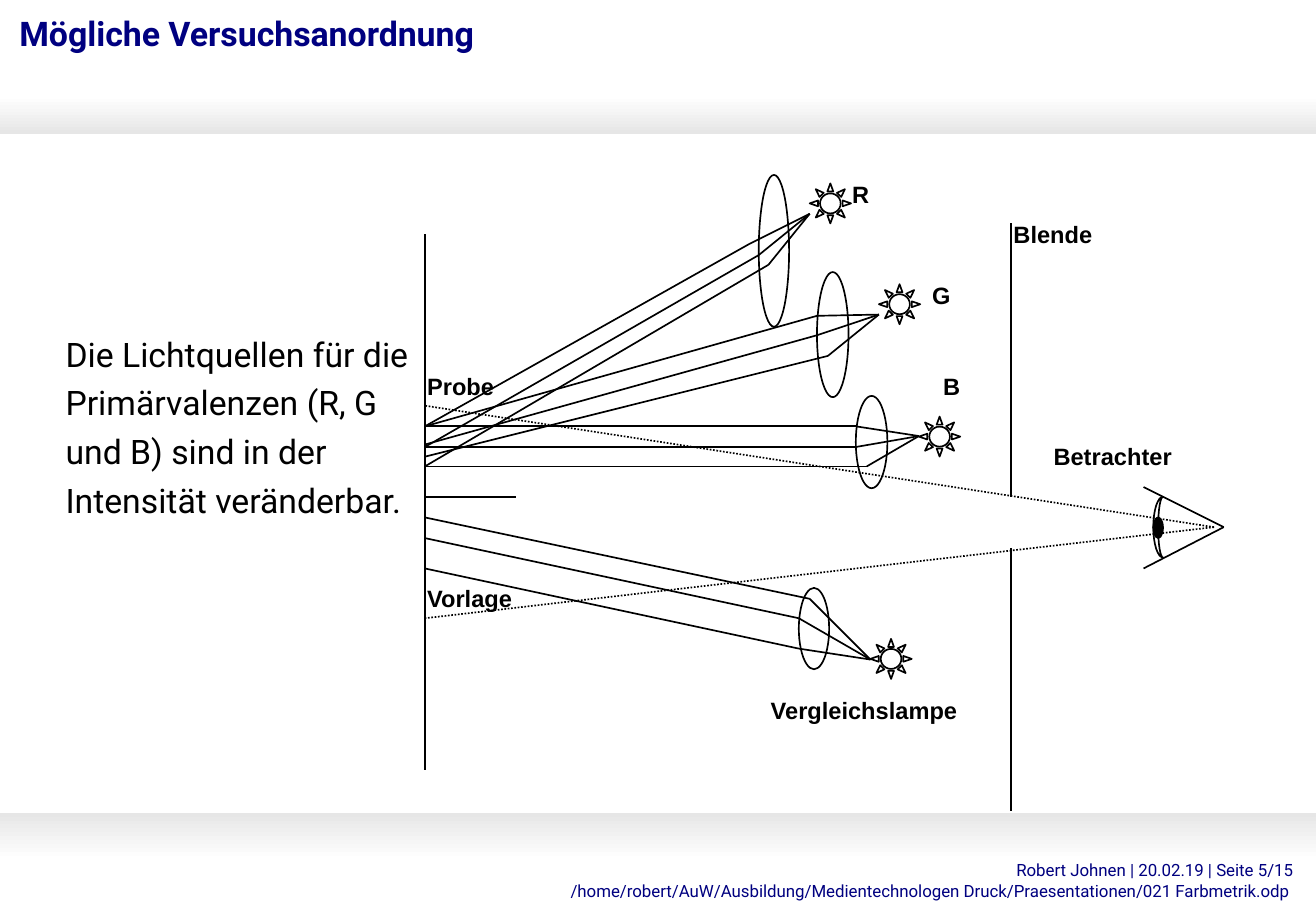
"""Build the slide showing an experimental setup for additive colour matching."""
import math

from lxml import etree
from pptx import Presentation, util as u
from pptx.dml.color import RGBColor
from pptx.enum import dml, shapes, text
from pptx.oxml.ns import qn

THEME = {
    "ink": RGBColor(0, 0, 0),
    "navy": RGBColor(0, 0, 0x80),
    "band": RGBColor(0xE6, 0xE6, 0xE6),
    "paper": RGBColor(0xFF, 0xFF, 0xFF),
    "stroke": u.Pt(1),
    "title": {"name": "Roboto", "size": u.Pt(20.1), "bold": True},
    "body": {"name": "Roboto", "size": u.Pt(20)},
    "footer": {"name": "Roboto", "size": u.Pt(10)},
    "label": {"name": "Arial", "size": u.Pt(14), "bold": True},
}


def add_text(area, lines, style, color, inset=(0, 0), **layout):
    """Place a text box whose paragraphs share one style."""
    box = page.shapes.add_textbox(*map(u.Inches, area))
    frame = box.text_frame
    margin_x, margin_y = map(u.Inches, inset)
    frame_format = {
        "word_wrap": True, "vertical_anchor": text.MSO_ANCHOR.TOP,
        "margin_left": margin_x, "margin_right": margin_x,
        "margin_top": margin_y, "margin_bottom": margin_y,
    }
    for name, value in frame_format.items():
        setattr(frame, name, value)
    for index, line in enumerate(lines):
        para = frame.add_paragraph() if index else frame.paragraphs[0]
        for name, value in layout.items():
            setattr(para, name, value)
        span = para.add_run()
        span.text = line
        for name, value in THEME[style].items():
            setattr(span.font, name, value)
        span.font.color.rgb = THEME[color]
    return box


def add_line(parent, start, end, width=THEME["stroke"]):
    """Draw a straight line between two points given in inches."""
    line = parent.add_connector(
        shapes.MSO_CONNECTOR.STRAIGHT, *map(u.Inches, (*start, *end)))
    line.line.color.rgb = THEME["ink"]
    line.line.width = width
    etree.SubElement(line._element.spPr, qn("a:effectLst"))
    return line


deck = Presentation()
deck.slide_width, deck.slide_height = u.Inches(10.84), u.Inches(7.5)
page = deck.slides.add_slide(deck.slide_layouts[6])

for top, height, colors in ((0.79, 0.31, ("paper", "band")),
                            (6.69, 0.39, ("band", "paper"))):
    band = page.shapes.add_shape(
        shapes.MSO_SHAPE.RECTANGLE, *map(u.Inches, (-0.08, top, 11.02, height)))
    band.shadow.inherit = False
    band.line.fill.background()
    band.fill.gradient()
    band.fill.gradient_angle = 270
    for stop, color in zip(band.fill.gradient_stops, colors):
        stop.color.rgb = THEME[color]

add_text((0.2, 7.08, 10.45, 0.4), [
    "Robert Johnen | 20.02.19 | Seite 5/15",
    "/home/robert/AuW/Ausbildung/Medientechnologen Druck/Praesentationen/021 Farbmetrik.odp ",
], "footer", "navy", alignment=text.PP_ALIGN.RIGHT)
add_text((0.16, 0.04, 10.51, 0.99), ["Mögliche Versuchsanordnung"],
         "title", "navy", line_spacing=1.2)
add_text((0.54, 2.68, 2.97, 2.39), [
    "Die Lichtquellen für die Primärvalenzen (R, G und B) sind in der Intensität veränderbar.",
], "body", "ink", line_spacing=1.2)

screen_x, aperture_x = 3.5, 8.33
for start, end in (
    ((screen_x, 1.93), (screen_x, 6.34)),
    ((screen_x, 4.09), (4.25, 4.09)),
    ((aperture_x, 1.84), (aperture_x, 4.09)),
    ((aperture_x, 4.51), (aperture_x, 6.68)),
):
    add_line(page.shapes, start, end)

lamps = (
    {"lens": (6.25, 1.44, 0.25, 1.25), "sun": (6.67, 1.51), "focus": (6.67, 1.76),
     "rays": (((6.17, 2.01), 3.51), ((6.25, 2.1), 3.68), ((6.33, 2.18), 3.84))},
    {"lens": (6.73, 2.24, 0.26, 1.03), "sun": (7.24, 2.34), "focus": (7.24, 2.59),
     "rays": (((6.73, 2.6), 3.51), ((6.73, 2.76), 3.66), ((6.82, 2.93), 3.76))},
    {"lens": (7.05, 3.26, 0.26, 0.76), "sun": (7.57, 3.43), "focus": (7.57, 3.59),
     "rays": (((7.05, 3.51), 3.51), ((7.05, 3.68), 3.68), ((7.14, 3.84), 3.84))},
    {"lens": (6.58, 4.84, 0.25, 0.67), "sun": (7.17, 5.26), "focus": (7.17, 5.43),
     "rays": (((6.67, 4.93), 4.26), ((6.58, 5.09), 4.43), ((6.58, 5.34), 4.68))},
)
for lamp in lamps:
    group = page.shapes.add_group_shape().shapes
    for preset, area in ((shapes.MSO_SHAPE.OVAL, lamp["lens"]),
                         (shapes.MSO_SHAPE.SUN, (*lamp["sun"], 0.34, 0.33))):
        part = group.add_shape(preset, *map(u.Inches, area))
        part.shadow.inherit = False
        part.fill.background()
        part.line.color.rgb = THEME["ink"]
        part.line.width = THEME["stroke"]
    for bend, screen_y in lamp["rays"]:
        add_line(group, bend, (screen_x, screen_y))
        add_line(group, bend, lamp["focus"])

eye = page.shapes.add_group_shape().shapes
eye_y = 4.34
for lid_y in (4.01, 4.68):
    add_line(eye, (9.42, lid_y), (10.08, eye_y))
angles = [math.pi * step / 16 for step in range(17)]
arcs = [(0.04, angle) for angle in angles] + [(0.08, angle) for angle in angles[::-1]]
outline = [(u.Inches(9.58 - depth * math.sin(angle)),
            u.Inches(eye_y - 0.25 * math.cos(angle))) for depth, angle in arcs]
builder = eye.build_freeform(*outline[0])
builder.add_line_segments(outline[1:], close=True)
cornea = builder.convert_to_shape()
cornea.fill.background()
pupil = eye.add_shape(shapes.MSO_SHAPE.OVAL, *map(u.Inches, (9.5, 4.26, 0.08, 0.17)))
pupil.fill.solid()
pupil.fill.fore_color.rgb = THEME["ink"]
for part in (cornea, pupil):
    part.shadow.inherit = False
    part.line.color.rgb = THEME["ink"]
    part.line.width = THEME["stroke"]

for label, left, top, width in (
    ("Betrachter", 8.58, 3.59, 1.67),
    ("R", 6.92, 1.43, 0.58),
    ("B", 7.67, 3.01, 0.58),
    ("G", 7.58, 2.26, 0.58),
    ("Vergleichslampe", 6.25, 5.68, 2),
    ("Blende", 8.25, 1.76, 1.67),
    ("Probe", 3.42, 3.01, 1.67),
    ("Vorlage", 3.42, 4.76, 1.67),
):
    add_text((left, top, width, 0.32), [label], "label", "ink", inset=(0.1, 0.05))

for screen_y in (3.34, 5.09):
    sight = add_line(page.shapes, (10, eye_y), (screen_x, screen_y))
    sight.line.dash_style = dml.MSO_LINE.ROUND_DOT

deck.save("out.pptx")
